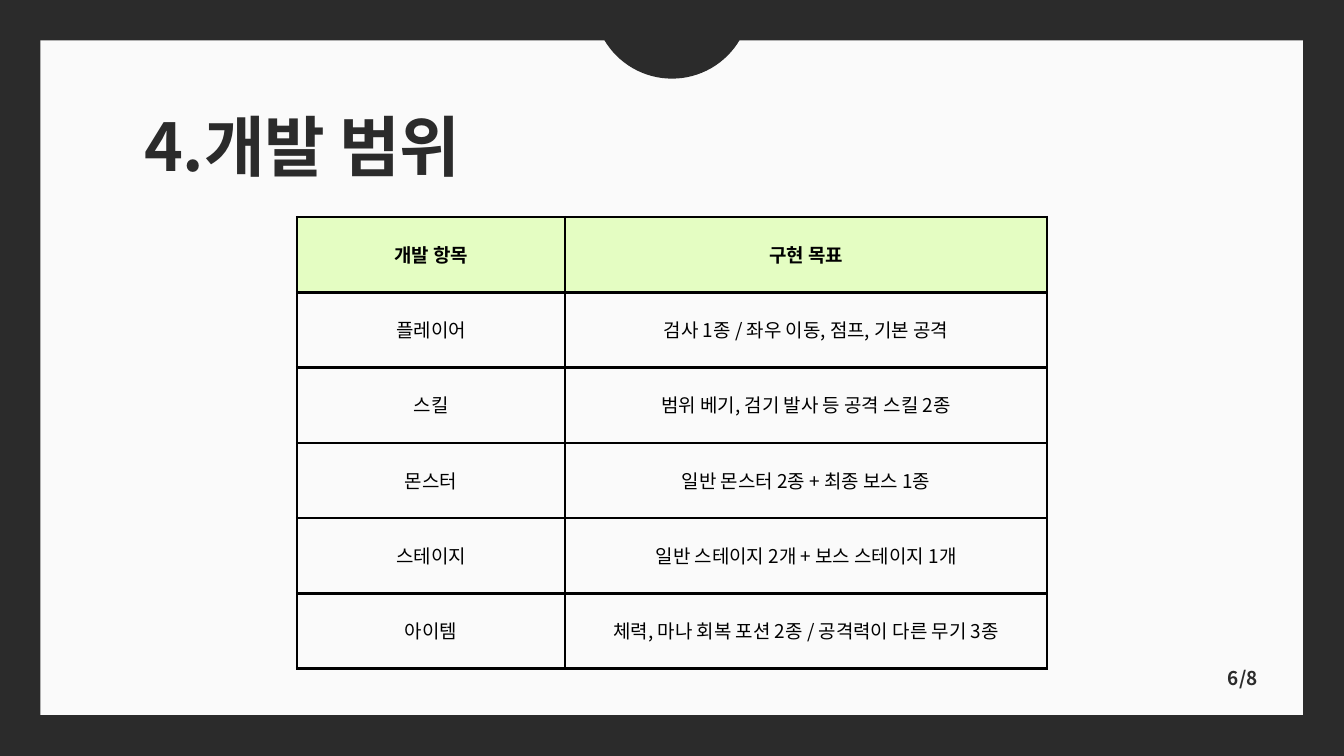
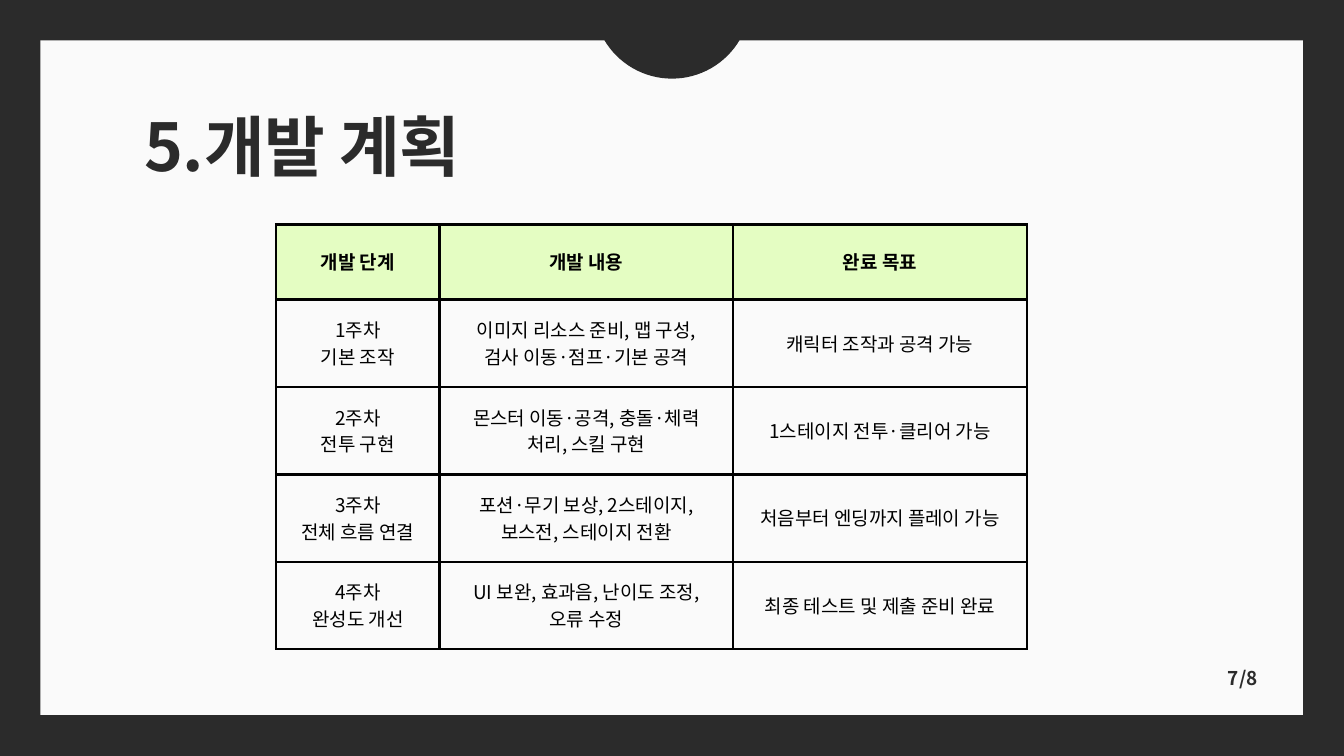
from dataclasses import dataclass

from lxml.etree import SubElement
from pptx import Presentation
from pptx.dml.color import RGBColor
from pptx.enum.shapes import MSO_SHAPE
from pptx.enum.text import MSO_ANCHOR, MSO_AUTO_SIZE, PP_ALIGN
from pptx.oxml.ns import qn
from pptx.util import Inches, Pt


@dataclass(frozen=True)
class Theme:
    font: str = "Noto Sans CJK KR"
    dark: RGBColor = RGBColor(0x2B, 0x2B, 0x2B)
    paper: RGBColor = RGBColor(0xFA, 0xFA, 0xFA)
    header: RGBColor = RGBColor(0xE4, 0xFD, 0xC2)
    ink: RGBColor = RGBColor(0, 0, 0)
    title_size: float = 70.7
    body_size: float = 20.3
    title_leading: float = 67.8
    body_leading: float = 28.4
    page_leading: float = 16.9
    border: float = 3


T = Theme()
PAGES = 8

# Slide content; a line break in a cell starts a new paragraph
slides = [
    dict(
        page=6, title="4.개발 범위", left=4.42, top=3.23,
        cols=[3.99, 7.17], row_height=1.12,
        rows=[
            ["개발 항목", "구현 목표"],
            ["플레이어", "검사 1종 / 좌우 이동, 점프, 기본 공격"],
            ["스킬", "범위 베기, 검기 발사 등 공격 스킬 2종"],
            ["몬스터", "일반 몬스터 2종 + 최종 보스 1종"],
            ["스테이지", "일반 스테이지 2개 + 보스 스테이지 1개"],
            ["아이템", "체력, 마나 회복 포션 2종 / 공격력이 다른 무기 3종"],
        ],
    ),
    dict(
        page=7, title="5.개발 계획", left=4.11, top=3.34,
        cols=[2.43, 4.37, 4.37], row_height=1.3,
        rows=[
            ["개발 단계", "개발 내용", "완료 목표"],
            ["1주차\n기본 조작", "이미지 리소스 준비, 맵 구성,\n검사 이동·점프·기본 공격",
             "캐릭터 조작과 공격 가능"],
            ["2주차\n전투 구현", "몬스터 이동·공격, 충돌·체력\n처리, 스킬 구현",
             "1스테이지 전투·클리어 가능"],
            ["3주차\n전체 흐름 연결", "포션·무기 보상, 2스테이지,\n보스전, 스테이지 전환",
             "처음부터 엔딩까지 플레이 가능"],
            ["4주차\n완성도 개선", "UI 보완, 효과음, 난이도 조정,\n오류 수정",
             "최종 테스트 및 제출 준비 완료"],
        ],
    ),
]
HEADER_HEIGHT = 1.12


def write(tf, text, size, leading, color, align, bold=True, spacing=0):
    """Fill a text frame and format every run in it."""
    tf.text = text
    tf.word_wrap = True
    for p in tf.paragraphs:
        p.alignment = align
        p.line_spacing = Pt(leading)
        for r in p.runs:
            r.font.size = Pt(size)
            r.font.bold = bold
            r.font.color.rgb = color
            r.font.name = T.font
            rPr = r.font._element
            SubElement(rPr, qn("a:ea")).set("typeface", T.font)
            if spacing:
                rPr.set("spc", str(round(spacing * 100)))


def place(shape, left, top, width, height):
    """Position a text shape with no insets, anchored at the top."""
    shape.left, shape.top = Inches(left), Inches(top)
    shape.width, shape.height = Inches(width), Inches(height)
    tf = shape.text_frame
    tf.margin_left = tf.margin_right = tf.margin_top = tf.margin_bottom = 0
    tf.vertical_anchor = MSO_ANCHOR.TOP
    tf.auto_size = MSO_AUTO_SIZE.SHAPE_TO_FIT_TEXT
    return tf


prs = Presentation()
prs.slide_width, prs.slide_height = Inches(20), Inches(11.25)

# Shared dark background
bg = prs.slide_master.background.fill
bg.solid()
bg.fore_color.rgb = T.dark

for data in slides:
    s = prs.slides.add_slide(prs.slide_layouts[5])

    # Paper panel and the notch at its top edge
    for kind, box, color in [
        (MSO_SHAPE.RECTANGLE, (0.6, 0.6, 18.79, 10.04), T.paper),
        (MSO_SHAPE.OVAL, (8.83, -1.17, 2.34, 2.34), T.dark),
    ]:
        sp = s.shapes.add_shape(kind, *map(Inches, box))
        sp.shadow.inherit = False
        sp.fill.solid()
        sp.fill.fore_color.rgb = color
        sp.line.fill.background()

    # Title, brought in front of the panel
    title = s.shapes.title
    sp.element.addnext(title.element)
    tf = place(title, 2.15, 1.8, 7.54, 1.04)
    write(tf, data["title"], T.title_size, T.title_leading, T.dark,
          PP_ALIGN.LEFT, spacing=-0.5)

    # Page number
    tf = place(s.shapes.add_textbox(0, 0, 0, 0), 15.56, 10.02, 3.16, 0.27)
    write(tf, f"{data['page']}/{PAGES}", T.body_size, T.page_leading, T.dark,
          PP_ALIGN.RIGHT, spacing=0.3)

    # Table
    rows, cols = data["rows"], data["cols"]
    heights = [HEADER_HEIGHT] + [data["row_height"]] * (len(rows) - 1)
    table = s.shapes.add_table(
        len(rows), len(cols), Inches(data["left"]), Inches(data["top"]),
        Inches(sum(cols)), Inches(sum(heights))).table
    table.horz_banding = False
    for col, width in zip(table.columns, cols):
        col.width = Inches(width)
    for row, height in zip(table.rows, heights):
        row.height = Inches(height)

    for i, row in enumerate(rows):
        for j, text in enumerate(row):
            cell = table.cell(i, j)
            cell.vertical_anchor = MSO_ANCHOR.MIDDLE
            cell.margin_left = cell.margin_right = Inches(0.21)
            cell.margin_top = cell.margin_bottom = Inches(0.21)
            write(cell.text_frame, text, T.body_size, T.body_leading, T.ink,
                  PP_ALIGN.CENTER, bold=i == 0)

            # Borders come before the fill in the cell properties
            tcPr = cell._tc.get_or_add_tcPr()
            for attr in ("wrap",):
                tcPr.attrib.pop(attr, None)
            for side in ("a:lnL", "a:lnR", "a:lnT", "a:lnB"):
                ln = SubElement(tcPr, qn(side), w=str(Pt(T.border)))
                fill = SubElement(ln, qn("a:solidFill"))
                SubElement(fill, qn("a:srgbClr"), val=str(T.ink))
            if i == 0:
                cell.fill.solid()
                cell.fill.fore_color.rgb = T.header
            else:
                cell.fill.background()

prs.save("out.pptx")
